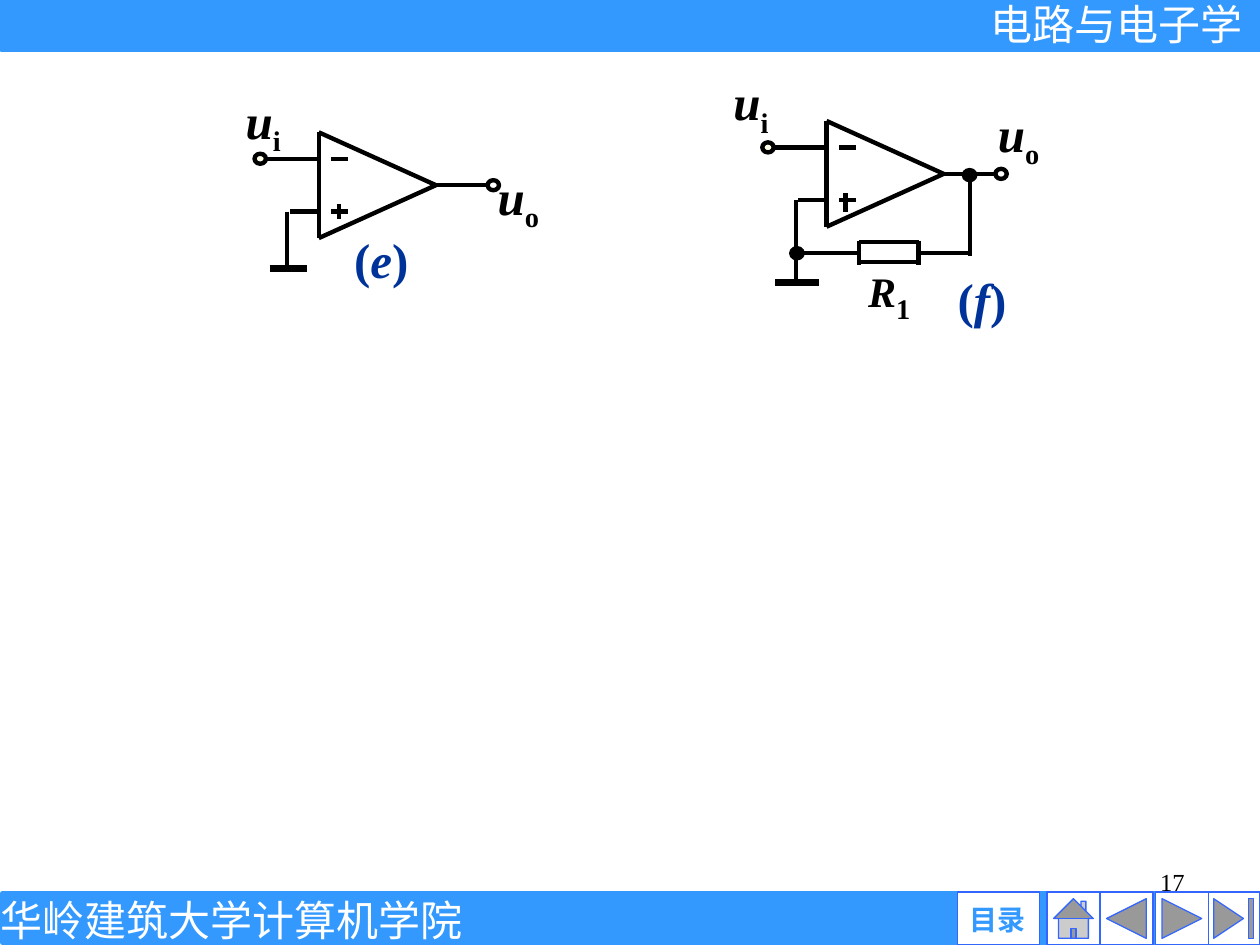
from lxml.etree import SubElement
from pptx import Presentation
from pptx.dml.color import RGBColor
from pptx.enum.shapes import MSO_CONNECTOR, MSO_SHAPE as SHAPE
from pptx.enum.text import MSO_ANCHOR as ANCHOR, PP_ALIGN as ALIGN
from pptx.oxml.ns import qn
from pptx.util import Inches, Pt

COLORS = {"bar": "3399FF", "button": "3366FF", "white": "FFFFFF",
          "ink": "000000", "label": "003399", "terminal": "FFFFE8"}
SERIF = "Times New Roman"

prs = Presentation()
prs.slide_width, prs.slide_height = Inches(10), Inches(7.5)
s = prs.slides.add_slide(prs.slide_layouts[6])


def add_text(x, y, w, h, runs, size=28, font=SERIF, color="ink", bold=True,
             align=ALIGN.LEFT, anchor=ANCHOR.TOP, wrap=True, inset=(0, 0)):
    tf = s.shapes.add_textbox(Inches(x), Inches(y), Inches(w), Inches(h)).text_frame
    tf.word_wrap = wrap
    tf.vertical_anchor = anchor
    tf.margin_left = tf.margin_right = Inches(inset[0])
    tf.margin_top = tf.margin_bottom = Inches(inset[1])
    p = tf.paragraphs[0]
    p.alignment = align
    for text, style in runs:
        r = p.add_run()
        r.text = text
        r.font.name = font
        r.font.size = Pt(24 if text == "R" else size)
        r.font.bold = bold
        r.font.italic = style == "italic"
        r.font.color.rgb = RGBColor.from_string(COLORS[color])
        if style == "sub":
            r._r.get_or_add_rPr().set("baseline", "-25000")


def add_shape(kind, x, y, w, h, fill, line, width):
    sp = s.shapes.add_shape(kind, Inches(x), Inches(y), Inches(w), Inches(h))
    sp.shadow.inherit = False
    if fill:
        sp.fill.solid()
        sp.fill.fore_color.rgb = RGBColor.from_string(COLORS[fill])
    else:
        sp.fill.background()
    sp.line.color.rgb = RGBColor.from_string(COLORS[line])
    sp.line.width = Pt(width)


add_text(7.17, 6.83, 2.33, 0.52, [("17", "")], size=14, bold=False,
         align=ALIGN.RIGHT, inset=(0.1, 0.05))
for x, y in [(0.02, 7.09), (0.01, 0)]:
    add_shape(SHAPE.RECTANGLE, x, y, 9.99, 0.39, "bar", "bar", 3)
for kind, x, w in [(SHAPE.ACTION_BUTTON_END, 9.58, 0.42),
                   (SHAPE.ACTION_BUTTON_FORWARD_OR_NEXT, 9.17, 0.42),
                   (SHAPE.ACTION_BUTTON_BACK_OR_PREVIOUS, 8.73, 0.42),
                   (SHAPE.ACTION_BUTTON_HOME, 8.31, 0.42),
                   (SHAPE.ACTION_BUTTON_CUSTOM, 7.6, 0.65)]:
    add_shape(kind, x, 7.08, w, 0.42, "white", "button", 0.75)
add_text(7.6, 7.16, 0.63, 0.27, [("目录", "")], size=16, font="Arial", color="bar",
         align=ALIGN.CENTER, anchor=ANCHOR.MIDDLE)
add_text(7.86, -0.01, 2.21, 0.4, [("电路与电子学", "")], size=24, font="Arial",
         color="white", bold=False, anchor=ANCHOR.MIDDLE)
add_text(0, 7.1, 3.67, 0.4, [("华岭建筑大学计算机学院", "")], size=24, color="white",
         bold=False, align=ALIGN.CENTER, anchor=ANCHOR.MIDDLE, wrap=False)

amplifier = [(0.51, 0.63, 0.28, 0.63), (0.51, 0.21, 0.28, 0.21),
             (1.44, 0.42, 1.67, 0.42), (0.51, 0.84, 1.44, 0.42),
             (0.51, 0, 1.44, 0.42), (0.51, 0.84, 0.51, 0),
             (0.61, 0.63, 0.74, 0.63), (0.61, 0.21, 0.74, 0.21),
             (0.1, 0.21, 0.28, 0.21), (1.85, 0.42, 1.67, 0.42)]
wires = [(2.69, 1.74, 2.69, 1.62), (2.28, 1.68, 2.28, 2.14),
         (6.71, 1.68, 6.71, 1.53), (6.32, 2.03, 6.32, 2.26),
         (6.32, 1.59, 6.32, 2.01), (6.81, 2.01, 6.58, 2.01),
         (7.3, 2.01, 7.71, 2.01), (7.7, 2.03, 7.7, 1.39),
         (6.6, 2.01, 6.32, 2.01)]
resistor = [(7.29, 1.91, 7.29, 2.1), (6.82, 1.91, 6.82, 2.1),
            (6.82, 2.08, 7.29, 2.08), (6.82, 1.92, 7.29, 1.92)]
grounds = [(2.14, 2.13, 2.44, 2.13), (6.15, 2.24, 6.5, 2.24)]
origins = [(2.02, 1.05), (6.05, 0.96)]

placed = [(ox + x1, oy + y1, ox + x2, oy + y2)
          for ox, oy in origins for x1, y1, x2, y2 in amplifier]
for lines, width in [(placed + wires + resistor, 2.5), (grounds, 4)]:
    for ends in lines:
        line = s.shapes.add_connector(MSO_CONNECTOR.STRAIGHT, *map(Inches, ends))
        line.line.color.rgb = RGBColor.from_string(COLORS["ink"])
        line.line.width = Pt(width)
        SubElement(line._element.spPr, qn("a:effectLst"))

for ox, oy in origins:
    add_shape(SHAPE.OVAL, ox, oy + 0.17, 0.09, 0.08, "terminal", "ink", 2.5)
    add_shape(SHAPE.OVAL, ox + 1.85, oy + 0.38, 0.09, 0.08, None, "ink", 2.5)
for x, y in [(6.28, 1.97), (7.65, 1.35)]:
    add_shape(SHAPE.OVAL, x, y, 0.09, 0.08, "ink", "ink", 2.5)

for x, y, w, h, name, index in [(1.95, 0.72, 0.67, 0.47, "u", "i"),
                                (3.95, 1.32, 0.47, 0.47, "u", "o"),
                                (5.82, 0.57, 0.29, 0.47, "u", "i"),
                                (7.92, 0.82, 0.4, 0.47, "u", "o"),
                                (6.89, 2.05, 0.35, 0.4, "R", "1")]:
    add_text(x, y, w, h, [(name, "italic"), (index, "sub")], wrap=False)
for x, y, w, letter in [(2.81, 1.82, 0.45, "e"), (7.6, 2.14, 0.39, "f")]:
    add_text(x, y, w, 0.47, [("(", ""), (letter, "italic"), (")", "")],
             color="label", wrap=False)

prs.save("out.pptx")
